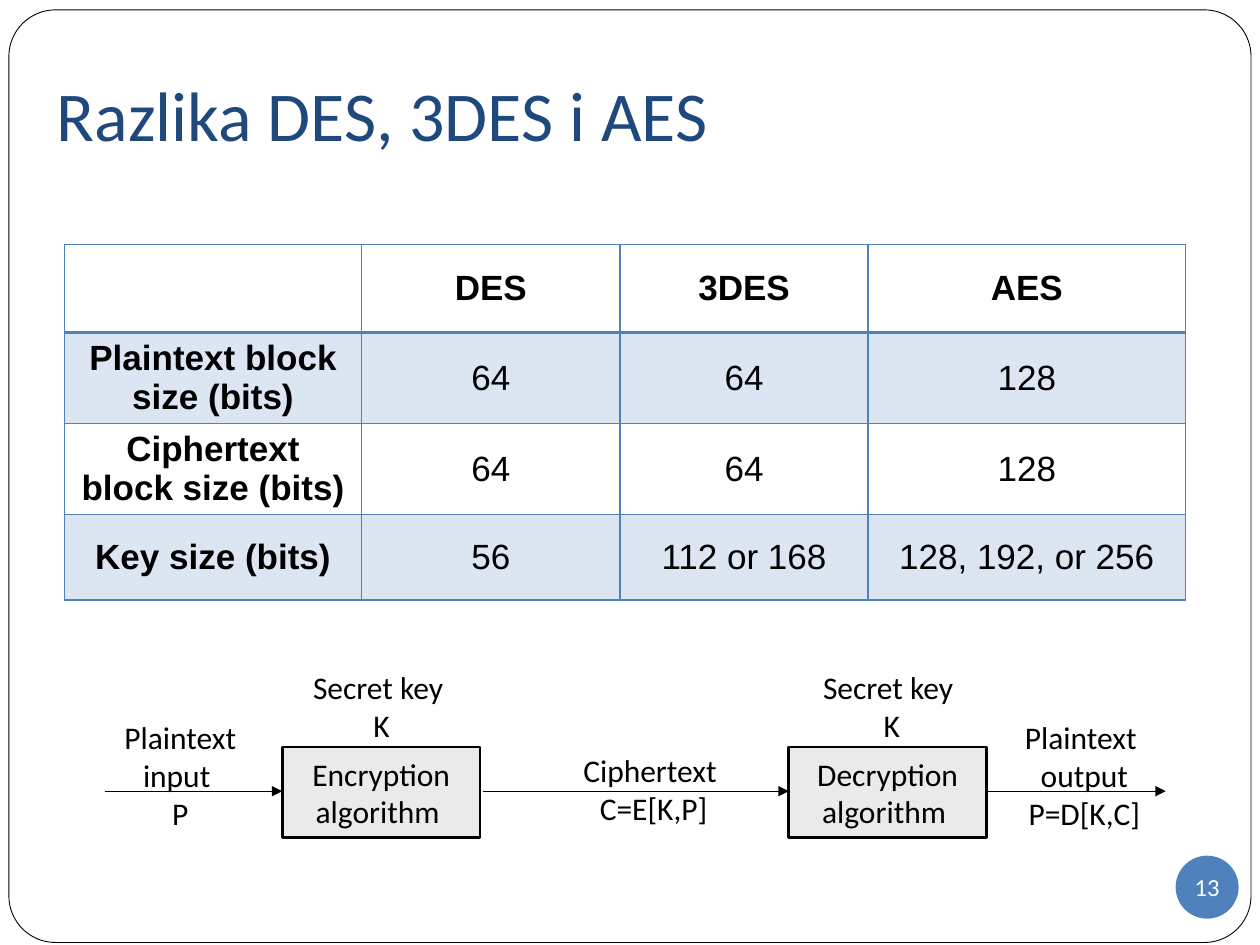
from lxml import etree
from pptx import Presentation
from pptx.dml.color import RGBColor
from pptx.enum.shapes import MSO_CONNECTOR, MSO_SHAPE
from pptx.enum.text import MSO_ANCHOR, PP_ALIGN
from pptx.oxml.ns import qn
from pptx.util import Cm, Pt

LEFT, CENTER = PP_ALIGN.LEFT, PP_ALIGN.CENTER
TOP, MIDDLE = MSO_ANCHOR.TOP, MSO_ANCHOR.MIDDLE
ROUND, OVAL, RECT = MSO_SHAPE.ROUNDED_RECTANGLE, MSO_SHAPE.OVAL, MSO_SHAPE.RECTANGLE
STRAIGHT = MSO_CONNECTOR.STRAIGHT
BLACK, WHITE, NAVY, BLUE, PALE, GREY = "000000", "FFFFFF", "1F497D", "4F81BD", "DCE6F2", "EAEAEA"

ROWS = [
    ["", "DES", "3DES", "AES"],
    ["Plaintext block size (bits)", "64", "64", "128"],
    ["Ciphertext block size (bits)", "64", "64", "128"],
    ["Key size (bits)", "56", "112 or 168", "128, 192, or 256"],
]
WIDTHS = [5.99, 5.21, 5, 6.4]
HEIGHTS = [1.78, 1.83, 1.75, 1.73]
STAGES = [
    (5.69, "Encryption algorithm ", "Secret key \vK"),
    (15.9, "Decryption algorithm ", "Secret key\v K"),
]
FLOWS = [(2.11, 5.69), (9.73, 15.9), (19.91, 23.5)]
LABELS = [
    (2.24, 14.35, 2.79, 2.57, "Plaintext\ninput \nP", CENTER),
    (11.51, 15.01, 3.38, 1.8, "Ciphertext \nC=E[K,P]", LEFT),
    (20.4, 14.35, 2.92, 2.57, "Plaintext \voutput\nP=D[K,C]", CENTER),
]


def paint(fmt, color):
    """Give a fill a solid hex colour."""
    fmt.solid()
    fmt.fore_color.rgb = RGBColor.from_string(color)


def write(frame, text, size=18, font="Calibri", color=BLACK, bold=False, align=CENTER):
    """Put formatted text into a text frame."""
    frame.text = text
    for para in frame.paragraphs:
        para.alignment = align
        for run in para.runs:
            run.font.size, run.font.name, run.font.bold = Pt(size), font, bold
            run.font.color.rgb = RGBColor.from_string(color)


def add_box(slide, kind, x, y, w, h, fill, line=None, width=1):
    """Add a preset shape without a shadow."""
    box = slide.shapes.add_shape(kind, Cm(x), Cm(y), Cm(w), Cm(h))
    box.shadow.inherit = False
    paint(box.fill, fill)
    if line:
        paint(box.line.fill, line)
        box.line.width = Pt(width)
    else:
        box.line.fill.background()
    box.text_frame.vertical_anchor = MIDDLE
    return box


def add_label(slide, x, y, w, h, text, wrap=False):
    """Add a centred text box and return its frame."""
    frame = slide.shapes.add_textbox(Cm(x), Cm(y), Cm(w), Cm(h)).text_frame
    frame.word_wrap = wrap
    frame.vertical_anchor = TOP
    write(frame, text)
    return frame


def add_arrow(slide, start, end, y):
    """Add a level arrow that points right."""
    arrow = slide.shapes.add_connector(STRAIGHT, Cm(start), Cm(y), Cm(end), Cm(y))
    paint(arrow.line.fill, BLACK)
    arrow.line.width = Pt(0.75)
    etree.SubElement(arrow.line._get_or_add_ln(), qn("a:tailEnd"), type="triangle")
    etree.SubElement(arrow._element.spPr, qn("a:effectLst"))


def add_edge(cell, side, width):
    """Draw one border of a cell."""
    edge = etree.SubElement(cell._tc.get_or_add_tcPr(), qn("a:ln" + side), w=str(Pt(width)))
    fill = etree.SubElement(edge, qn("a:solidFill"))
    etree.SubElement(fill, qn("a:srgbClr"), val=BLUE)


def add_grid(slide):
    """Add the table that compares the ciphers."""
    grid = slide.shapes.add_table(
        len(ROWS), len(WIDTHS), Cm(1.3), Cm(4.93), Cm(sum(WIDTHS)), Cm(sum(HEIGHTS))
    ).table
    grid.first_row = grid.horz_banding = False
    for col, width in zip(grid.columns, WIDTHS):
        col.width = Cm(width)
    for i, (row, height) in enumerate(zip(grid.rows, HEIGHTS)):
        row.height = Cm(height)
        for j, cell in enumerate(row.cells):
            for side in "LRTB":
                thick = (i, side) in [(0, "B"), (1, "T")]
                add_edge(cell, side, 2 if thick else 1)
            paint(cell.fill, PALE if i % 2 else WHITE)
            cell.vertical_anchor = MIDDLE
            write(cell.text_frame, ROWS[i][j], size=20, font="Arial", bold=i == 0 or j == 0)


def add_title(slide, text):
    """Move and fill the title placeholder."""
    title = slide.shapes.title
    title.left, title.top, title.width, title.height = Cm(0.89), Cm(0.76), Cm(23.8), Cm(3.18)
    frame = title.text_frame
    frame.vertical_anchor = MIDDLE
    frame.margin_bottom = Cm(0.25)
    write(frame, text, size=40, color=NAVY, align=LEFT)


def add_badge(slide, text):
    """Add the round page number."""
    frame = add_box(slide, OVAL, 23.7, 17.25, 1.27, 1.27, BLUE).text_frame
    frame.margin_left = frame.margin_right = frame.margin_top = frame.margin_bottom = 0
    frame.word_wrap = False
    write(frame, text, size=14, color=WHITE)


def add_scheme(slide):
    """Add the encryption and decryption chain."""
    for x, name, key in STAGES:
        write(add_box(slide, RECT, x, 15.06, 3.99, 1.83, GREY, BLACK, 1.5).text_frame, name)
        add_label(slide, x + 0.2, 13.34, 3.61, 1.8, key, wrap=True)
    for start, end in FLOWS:
        add_arrow(slide, start, end, 15.95)
    for x, y, w, h, text, first in LABELS:
        add_label(slide, x, y, w, h, text).paragraphs[0].alignment = first


def main():
    """Build and save the slide."""
    deck = Presentation()
    deck.slide_width, deck.slide_height = Cm(25.4), Cm(19.05)
    slide = deck.slides.add_slide(deck.slide_layouts[5])
    frame = add_box(slide, ROUND, 0.18, 0.2, 25.04, 18.8, WHITE, BLACK, 0.5)
    frame.adjustments[0] = 0.05
    slide.shapes._spTree.insert(2, frame._element)
    add_title(slide, "Razlika DES, 3DES i AES")
    add_badge(slide, "13")
    add_grid(slide)
    add_scheme(slide)
    deck.save("out.pptx")


main()
